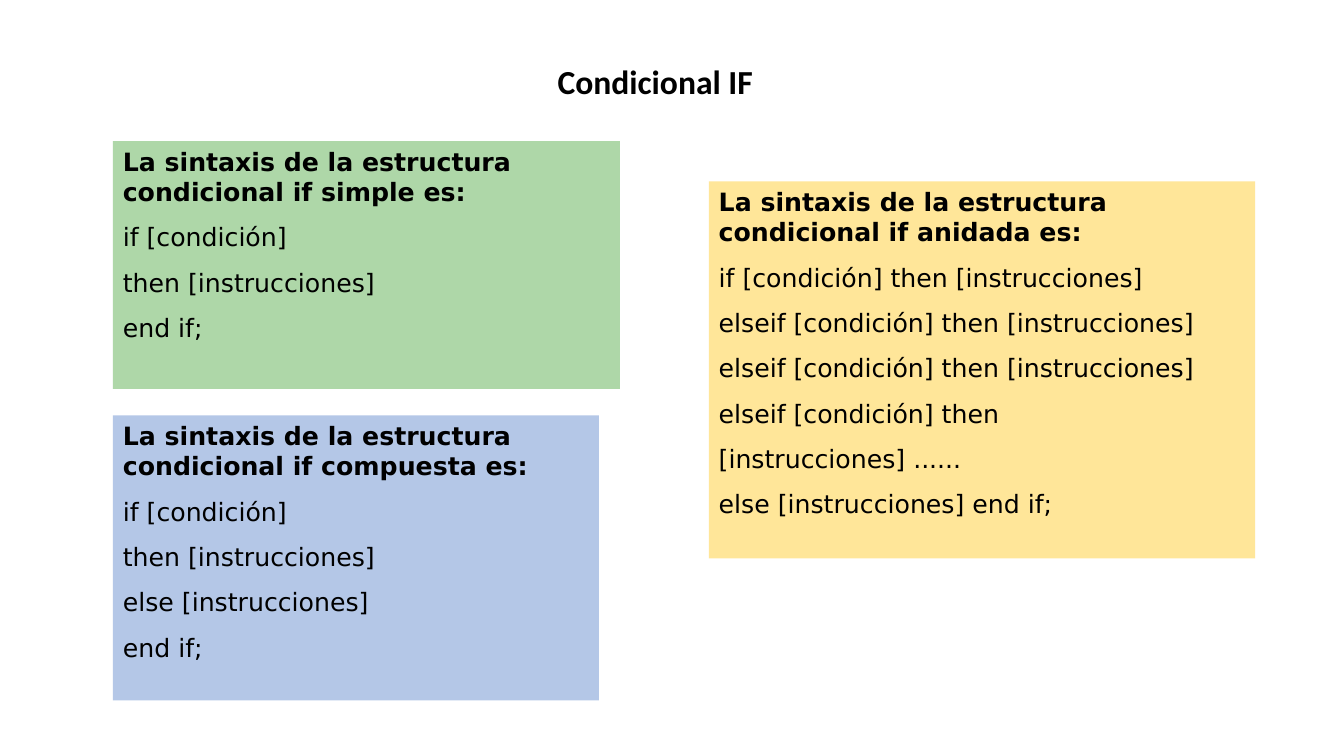
from dataclasses import dataclass

from pptx import Presentation
from pptx.dml.color import RGBColor
from pptx.enum.shapes import MSO_SHAPE
from pptx.enum.text import MSO_ANCHOR, MSO_AUTO_SIZE, PP_ALIGN
from pptx.slide import Slide
from pptx.util import Inches, Pt

RECTANGLE = MSO_SHAPE.RECTANGLE
TOP = MSO_ANCHOR.TOP
MIDDLE = MSO_ANCHOR.MIDDLE
LEFT = PP_ALIGN.LEFT
NO_AUTOFIT = MSO_AUTO_SIZE.NONE

BLACK = RGBColor(0x00, 0x00, 0x00)
GREEN = RGBColor(0xAE, 0xD7, 0xA8)
BLUE = RGBColor(0xB4, 0xC7, 0xE7)
YELLOW = RGBColor(0xFF, 0xE6, 0x99)

TITLE_FONT = "Calibri"
BODY_FONT = "DejaVu Sans"
TITLE_ONLY = 5


@dataclass(frozen=True)
class SyntaxBox:
    left: float
    top: float
    width: float
    height: float
    color: RGBColor
    variant: str
    code: tuple[str, ...]


SYNTAX_BOXES = (
    SyntaxBox(1.12, 1.4, 5.03, 2.46, GREEN, "simple", (
        "if [condición]",
        "then [instrucciones]",
        "end if;",
    )),
    SyntaxBox(1.12, 4.12, 4.82, 2.83, BLUE, "compuesta", (
        "if [condición]",
        "then [instrucciones]",
        "else [instrucciones]",
        "end if;",
    )),
    SyntaxBox(7.03, 1.8, 5.42, 3.74, YELLOW, "anidada", (
        "if [condición] then [instrucciones]",
        "elseif [condición] then [instrucciones]",
        "elseif [condición] then [instrucciones] "
        "elseif [condición] then [instrucciones] ......",
        "else [instrucciones] end if;",
    )),
)


def set_title(page: Slide, text: str) -> None:
    title = page.shapes.title
    title.left, title.top = Inches(5.43), Inches(0.55)
    title.width, title.height = Inches(2.65), Inches(0.5)
    frame = title.text_frame
    frame.text = text
    frame.auto_size = NO_AUTOFIT
    frame.vertical_anchor = MIDDLE
    para = frame.paragraphs[0]
    para.alignment = LEFT
    para.font.name = TITLE_FONT
    para.font.size = Pt(24)
    para.font.bold = True
    para.font.color.rgb = BLACK


def add_syntax_box(page: Slide, syntax: SyntaxBox) -> None:
    box = page.shapes.add_shape(
        RECTANGLE, Inches(syntax.left), Inches(syntax.top),
        Inches(syntax.width), Inches(syntax.height))
    box.shadow.inherit = False
    box.fill.solid()
    box.fill.fore_color.rgb = syntax.color
    box.line.fill.background()

    frame = box.text_frame
    frame.word_wrap = True
    frame.vertical_anchor = TOP
    heading = f"La sintaxis de la estructura condicional if {syntax.variant} es:"
    frame.text = "\n".join((heading, *syntax.code))
    for index, para in enumerate(frame.paragraphs):
        is_heading = index == 0
        para.alignment = LEFT
        para.line_spacing = 1.0 if is_heading else 1.5
        para.font.name = BODY_FONT
        para.font.size = Pt(18)
        para.font.bold = is_heading
        para.font.color.rgb = BLACK


def main() -> None:
    deck = Presentation()
    deck.slide_width, deck.slide_height = Inches(13.33), Inches(7.5)
    page = deck.slides.add_slide(deck.slide_layouts[TITLE_ONLY])
    set_title(page, "Condicional IF")
    for syntax in SYNTAX_BOXES:
        add_syntax_box(page, syntax)
    deck.save("out.pptx")


if __name__ == "__main__":
    main()
